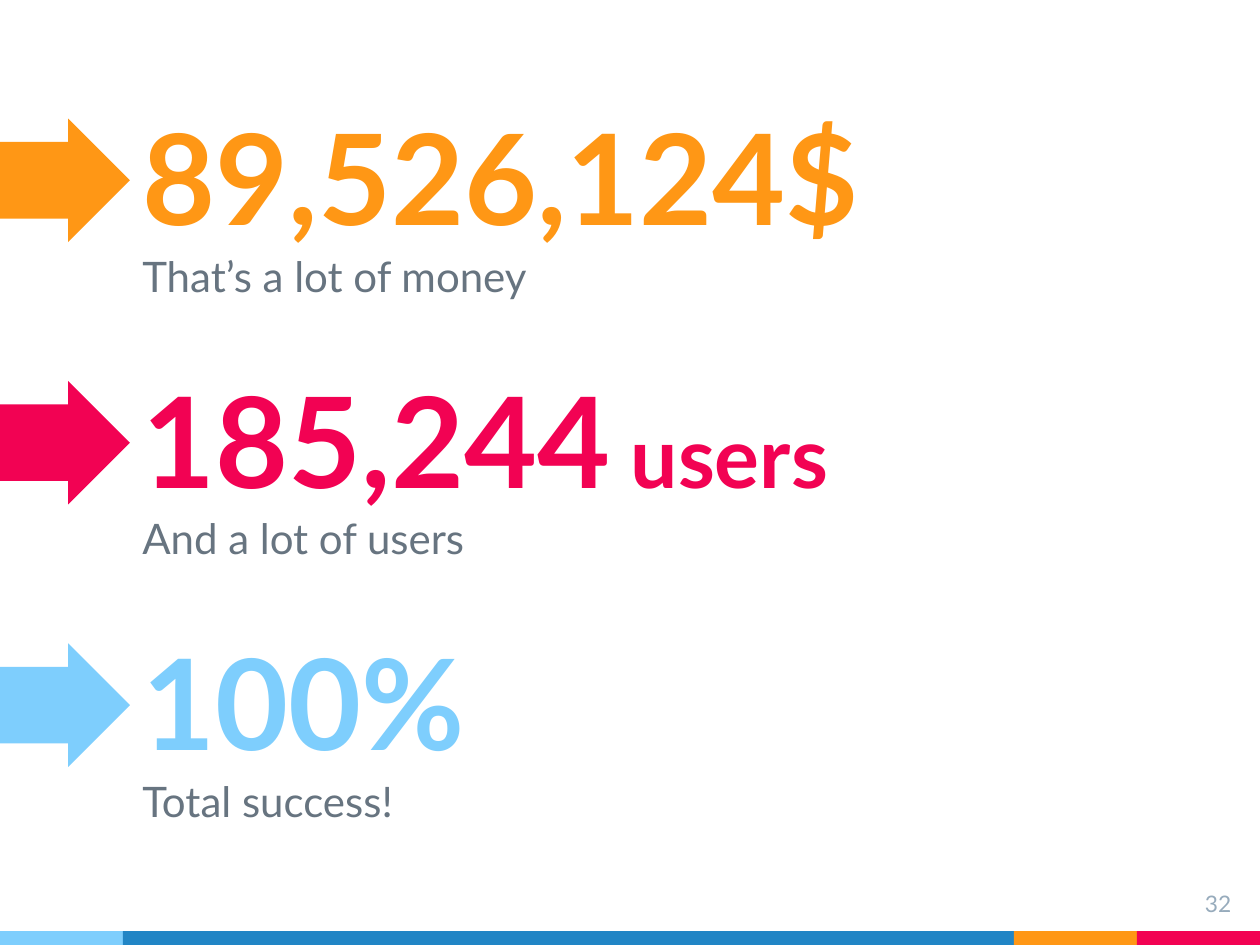
from dataclasses import dataclass

from pptx import Presentation
from pptx.dml.color import RGBColor
from pptx.enum.shapes import MSO_SHAPE
from pptx.enum.text import MSO_ANCHOR, MSO_AUTO_SIZE, PP_ALIGN
from pptx.util import Cm, Pt


@dataclass(frozen=True)
class Theme:
    font: str = "Lato"
    orange: str = "FF9715"
    pink: str = "F20253"
    sky: str = "7ECEFD"
    blue: str = "2185C5"
    gray: str = "677480"
    pale: str = "97ABBC"
    big: int = 72
    unit: int = 48
    note: int = 24
    page: int = 13


class Deck:
    def __init__(self, theme):
        self.theme = theme
        self.prs = Presentation()
        self.prs.slide_width, self.prs.slide_height = Cm(25.4), Cm(19.05)
        self.slide = self.prs.slides.add_slide(self.prs.slide_layouts[5])

    def shape(self, kind, box, color):
        item = self.slide.shapes.add_shape(kind, *map(Cm, box))
        item.shadow.inherit = False
        item.fill.solid()
        item.fill.fore_color.rgb = RGBColor.from_string(color)
        item.line.fill.background()
        return item

    def arrow(self, box, color):
        item = self.shape(MSO_SHAPE.RIGHT_ARROW, box, color)
        item.adjustments[0] = 0.62
        item.adjustments[1] = 0.5

    def text(self, box, runs, size, color, bold=False, align=PP_ALIGN.LEFT,
             anchor=MSO_ANCHOR.TOP, before=0, holder=None):
        """Write runs of (words, own size or None) in a new box or a placeholder."""
        item = holder or self.slide.shapes.add_textbox(*map(Cm, box))
        item.left, item.top, item.width, item.height = map(Cm, box)
        frame = item.text_frame
        frame.word_wrap = True
        frame.auto_size = MSO_AUTO_SIZE.NONE
        frame.vertical_anchor = anchor
        frame.margin_left = frame.margin_right = Cm(0.25)
        frame.margin_top = frame.margin_bottom = Cm(0.25)
        para = frame.paragraphs[0]
        para.alignment, para.space_before = align, Pt(before)
        font = para.font
        font.name, font.size, font.bold = self.theme.font, Pt(size), bold
        font.color.rgb = RGBColor.from_string(color)
        for words, own in runs:
            run = para.add_run()
            run.text = words
            if own:
                run.font.size = Pt(own)

    def save(self):
        self.prs.save("out.pptx")


def main():
    theme = Theme()
    deck = Deck(theme)

    # Colour strip along the bottom edge
    left = 0
    for width, color in ((2.48, theme.sky), (17.96, theme.blue),
                         (2.48, theme.orange), (2.48, theme.pink)):
        deck.shape(MSO_SHAPE.RECTANGLE, (left, 18.77, width, 0.28), color)
        left += width

    # Three figures, each with an arrow and a caption
    rows = (
        ([("89,526,124$", None)], "That’s a lot of money", theme.orange),
        ([("185,244", None), (" users", theme.unit)], "And a lot of users", theme.pink),
        ([("100%", None)], "Total success!", theme.sky),
    )
    pitch = 5.29
    for i, (figure, note, color) in enumerate(rows):
        top = 1.98 + i * pitch
        deck.text((2.62, top, 20.88, 3.33), figure, theme.big, color, bold=True,
                  anchor=MSO_ANCHOR.BOTTOM,
                  holder=deck.slide.shapes.title if i == 0 else None)
        deck.text((2.62, top + 2.82, 20.88, 1.73), [(note, None)],
                  theme.note, theme.gray, before=6)
        deck.arrow((0, top + 0.41, 2.62, 2.49), color)

    # Page number
    deck.text((23.55, 17.68, 1.52, 1.17), [("32", None)], theme.page, theme.pale,
              align=PP_ALIGN.RIGHT)
    deck.save()


if __name__ == "__main__":
    main()
